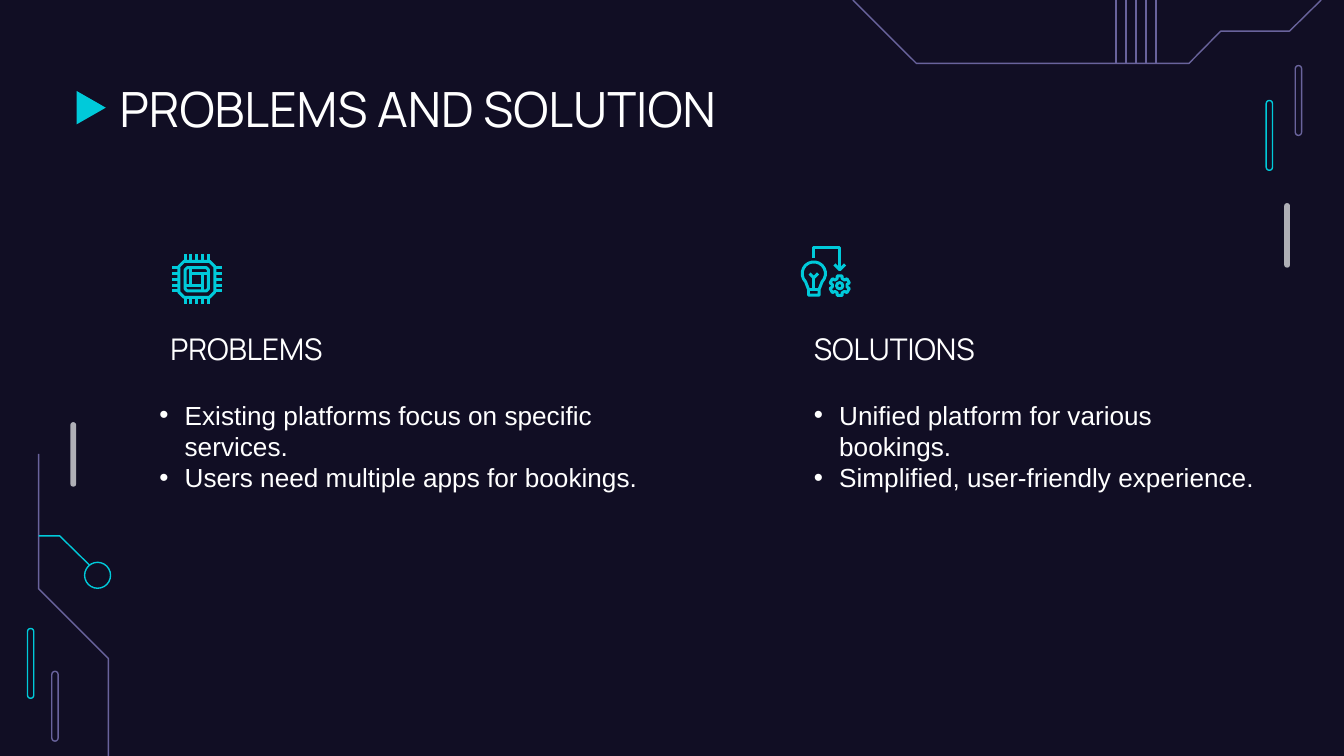
from math import cos, radians, sin

from lxml import etree
from pptx import Presentation
from pptx import util as u
from pptx.dml.color import RGBColor
from pptx.enum import shapes, text
from pptx.oxml.ns import qn

NAVY, TEAL, PURPLE, GREY, WHITE = "110E24", "00CADA", "69639C", "AFAFB6", "FFFFFF"
THIN, ICON = 0.75, 1.6


def rgb(value):
    return RGBColor.from_string(value)


def set_line(sp, color, width):
    sp.line.color.rgb = rgb(color)
    sp.line.width = u.Pt(width)


def add_preset(s, kind, x, y, w, h, fill=None, outline=None):
    sp = s.shapes.add_shape(kind, u.Cm(x), u.Cm(y), u.Cm(w), u.Cm(h))
    sp.shadow.inherit = False
    if fill:
        sp.fill.solid()
        sp.fill.fore_color.rgb = rgb(fill)
    else:
        sp.fill.background()
    if outline:
        set_line(sp, outline, THIN)
    else:
        sp.line.fill.background()
    return sp


def add_pill(s, x, y, w, h, **colors):
    sp = add_preset(s, shapes.MSO_SHAPE.ROUNDED_RECTANGLE, x, y, w, h, **colors)
    sp.adjustments[0] = 0.5


def add_strokes(s, contours, color, width):
    builder = None
    for contour in contours:
        start, *rest = [(u.Cm(x), u.Cm(y)) for x, y in contour]
        if builder:
            builder.move_to(*start)
        else:
            builder = s.shapes.build_freeform(*start)
        builder.add_line_segments(rest, close=contour[0] == contour[-1])
    sp = builder.convert_to_shape()
    sp.shadow.inherit = False
    sp.fill.background()
    set_line(sp, color, width)


def add_line(s, x1, y1, x2, y2, color):
    sp = s.shapes.add_connector(shapes.MSO_CONNECTOR.STRAIGHT,
                                u.Cm(x1), u.Cm(y1), u.Cm(x2), u.Cm(y2))
    set_line(sp, color, THIN)
    etree.SubElement(sp._element.spPr, qn("a:effectLst"))


def loop(points):
    return points + points[:1]


def polar(cx, cy, radius, degrees):
    angle = radians(degrees)
    return cx + radius * cos(angle), cy + radius * sin(angle)


def fill_placeholder(sp, box, lines, size, font, anchor, bullets=False):
    sp.left, sp.top, sp.width, sp.height = map(u.Cm, box)
    tf = sp.text_frame
    tf.text = "\n".join(lines)
    tf.word_wrap = True
    tf.auto_size = text.MSO_AUTO_SIZE.NONE
    tf.vertical_anchor = anchor
    tf.margin_left = tf.margin_right = tf.margin_top = tf.margin_bottom = u.Cm(0.25)
    for p in tf.paragraphs:
        p.alignment = text.PP_ALIGN.LEFT
        p.line_spacing = 1.0
        p.space_before = u.Pt(0)
        p.font.size = u.Pt(size)
        p.font.name = font
        p.font.bold = False
        p.font.color.rgb = rgb(WHITE)
        if bullets:
            add_bullet(p)


def add_bullet(p):
    pPr = p._p.get_or_add_pPr()
    pPr.set("marL", str(u.Cm(0.48)))
    pPr.set("indent", str(-u.Cm(0.48)))
    bullet = etree.Element(qn("a:buChar"), char="•")
    pPr.find(qn("a:defRPr")).addprevious(bullet)


def add_circuit(s):
    for x, y, color in ((23.93, 1.9, TEAL), (24.48, 1.24, PURPLE),
                        (0.52, 11.88, TEAL), (0.98, 12.69, PURPLE)):
        add_pill(s, x, y, 0.12, 1.32, outline=color)
    for x, y in ((24.27, 3.84), (1.33, 7.98)):
        add_pill(s, x, y, 0.11, 1.22, fill=GREY)
    for i in range(5):
        x = 21.09 + i * 0.19
        add_line(s, x, 0, x, 1.2, PURPLE)
    for color, points in (
        (PURPLE, [(16.12, 0), (17.32, 1.2), (22.47, 1.2), (23.07, 0.59),
                  (24.37, 0.59), (24.97, 0)]),
        (PURPLE, [(0.73, 8.58), (0.73, 11.13), (2.05, 12.45), (2.05, 14.29)]),
        (TEAL, [(1.69, 10.68), (1.13, 10.13), (0.73, 10.13)]),
    ):
        add_strokes(s, [points], color, THIN)
    add_preset(s, shapes.MSO_SHAPE.OVAL, 1.6, 10.63, 0.49, 0.49, outline=TEAL)


def octagon(cx, cy, half, cut):
    inner = half - cut
    points = [(-inner, -half), (inner, -half), (half, -inner), (half, inner),
              (inner, half), (-inner, half), (-half, inner), (-half, -inner)]
    return loop([(cx + x, cy + y) for x, y in points])


def add_chip_icon(s, cx, cy):
    body, ring, core, leg = 0.34, 0.22, 0.11, 0.47
    bars = [[(cx + x1, cy + y1), (cx + x2, cy + y2)]
            for x1, y1, x2, y2 in ((-core, -ring, -core, core), (-core, -core, ring, -core),
                                   (core, -core, core, ring), (-ring, core, core, core))]
    add_strokes(s, [octagon(cx, cy, ring, 0.04)] + bars, TEAL, ICON)
    legs = []
    for step in (i * 0.11 for i in range(-2, 3)):
        for near, far in ((-body, -leg), (body, leg)):
            legs.append([(cx + step, cy + near), (cx + step, cy + far)])
            legs.append([(cx + near, cy + step), (cx + far, cy + step)])
    add_strokes(s, [octagon(cx, cy, body, 0.1)] + legs, TEAL, ICON)


def add_idea_icon(s):
    bulb_x, bulb_y, gear_x, gear_y = 15.38, 5.17, 15.87, 5.4
    left, right = bulb_x - 0.1, bulb_x + 0.1
    glass = [polar(bulb_x, bulb_y, 0.22, a) for a in range(135, 406, 18)]
    base = [(right, 5.47), (right, 5.58), (left, 5.58), (left, 5.47)]
    add_strokes(s, [
        loop(glass + base),
        [(left, 5.47), (right, 5.47)],
        [(bulb_x, 5.25), (bulb_x, 5.47)],
        [(bulb_x - 0.08, 5.17), (bulb_x, 5.25), (bulb_x + 0.08, 5.17)],
    ], TEAL, ICON)
    teeth = [polar(gear_x, gear_y, radius, tooth + offset)
             for tooth in range(30, 390, 60)
             for offset, radius in ((-20, 0.14), (-14, 0.19), (14, 0.19), (20, 0.14))]
    hub = [polar(gear_x, gear_y, 0.06, a) for a in range(0, 360, 45)]
    add_strokes(s, [loop(teeth), loop(hub)], TEAL, ICON)
    add_strokes(s, [
        [(bulb_x, 4.88), (bulb_x, 4.68), (gear_x, 4.68), (gear_x, 5.1)],
        [(gear_x - 0.1, 5), (gear_x, 5.1), (gear_x + 0.1, 5)],
    ], TEAL, ICON)


def main():
    prs = Presentation()
    prs.slide_width, prs.slide_height = u.Cm(25.4), u.Cm(14.29)
    s = prs.slides.add_slide(prs.slide_layouts.get_by_name("Comparison"))
    s.background.fill.solid()
    s.background.fill.fore_color.rgb = rgb(NAVY)
    title, left_head, left_list, right_head, right_list = s.placeholders

    add_circuit(s)
    marker = add_preset(s, shapes.MSO_SHAPE.FLOWCHART_MERGE, 1.41, 1.76, 0.63, 0.55, fill=TEAL)
    marker.rotation = 270

    anchor = text.MSO_ANCHOR
    fill_placeholder(title, (2.01, 1.24, 21.41, 1.6), ["PROBLEMS AND SOLUTION"],
                     26, "Manrope", anchor.MIDDLE)
    for sp, x, heading in ((left_head, 2.97, "PROBLEMS"), (right_head, 15.13, "SOLUTIONS")):
        fill_placeholder(sp, (x, 5.83, 6.27, 1.35), [heading], 16, "Manrope", anchor.BOTTOM)
    for sp, x, w, lines in (
        (left_list, 2.76, 9.96, ["Existing platforms focus on specific services.",
                                 "Users need multiple apps for bookings."]),
        (right_list, 15.13, 9.02, ["Unified platform for various bookings.",
                                   "Simplified, user-friendly experience."]),
    ):
        fill_placeholder(sp, (x, 7.29, w, 4.17), lines, 14, "Arial", anchor.TOP, bullets=True)

    add_chip_icon(s, 3.72, 5.28)
    add_idea_icon(s)
    prs.save("out.pptx")


if __name__ == "__main__":
    main()
